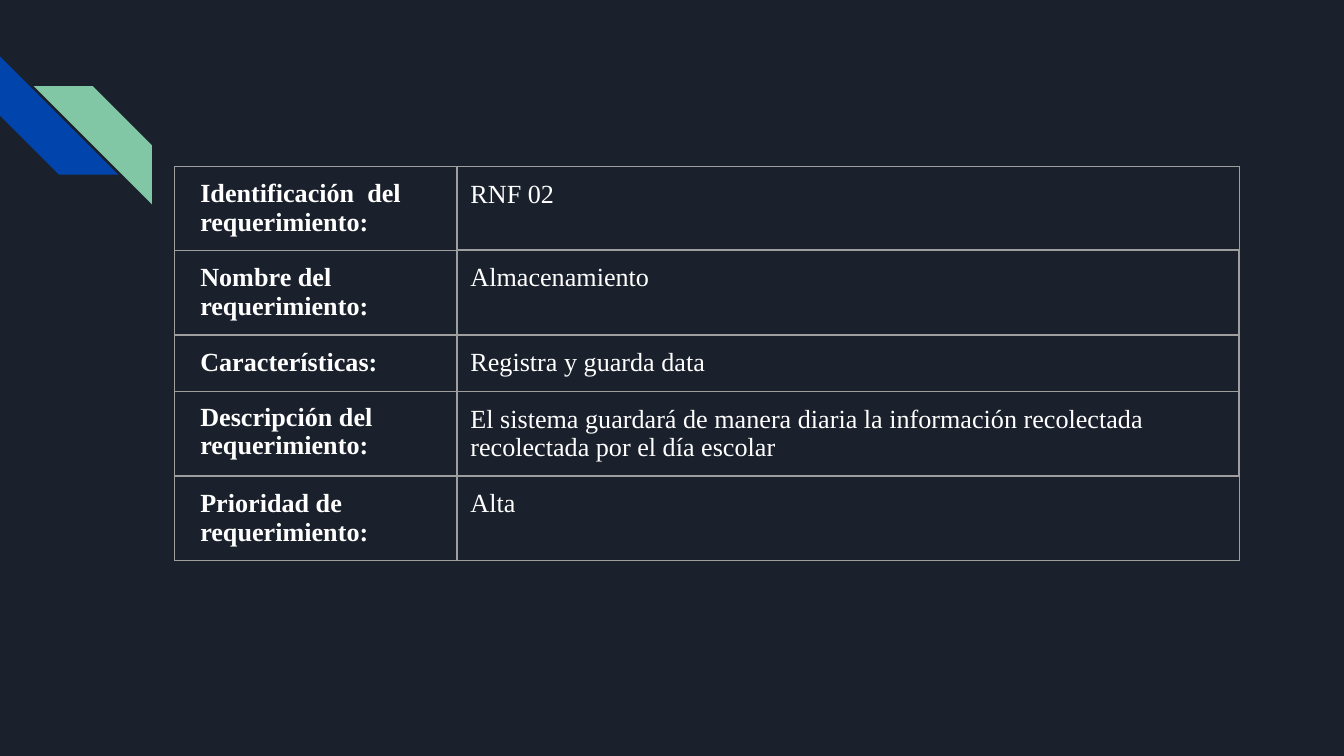
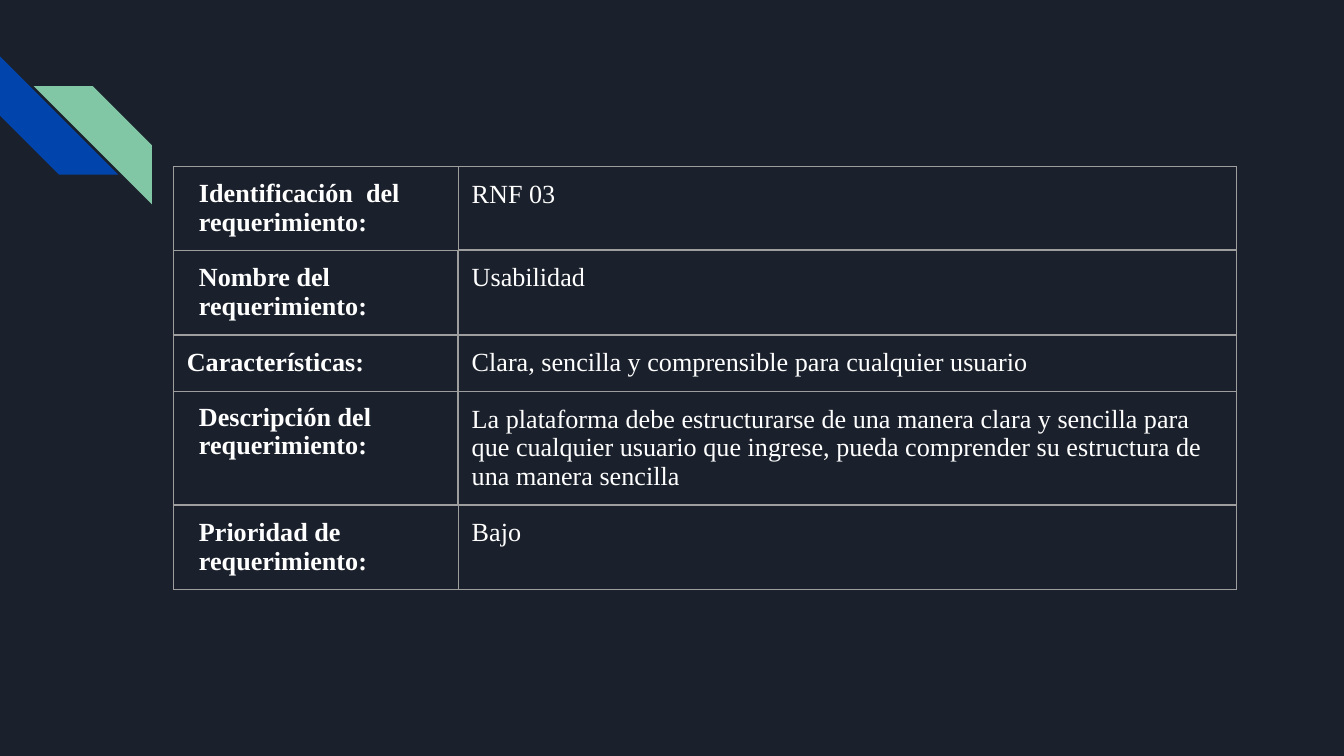
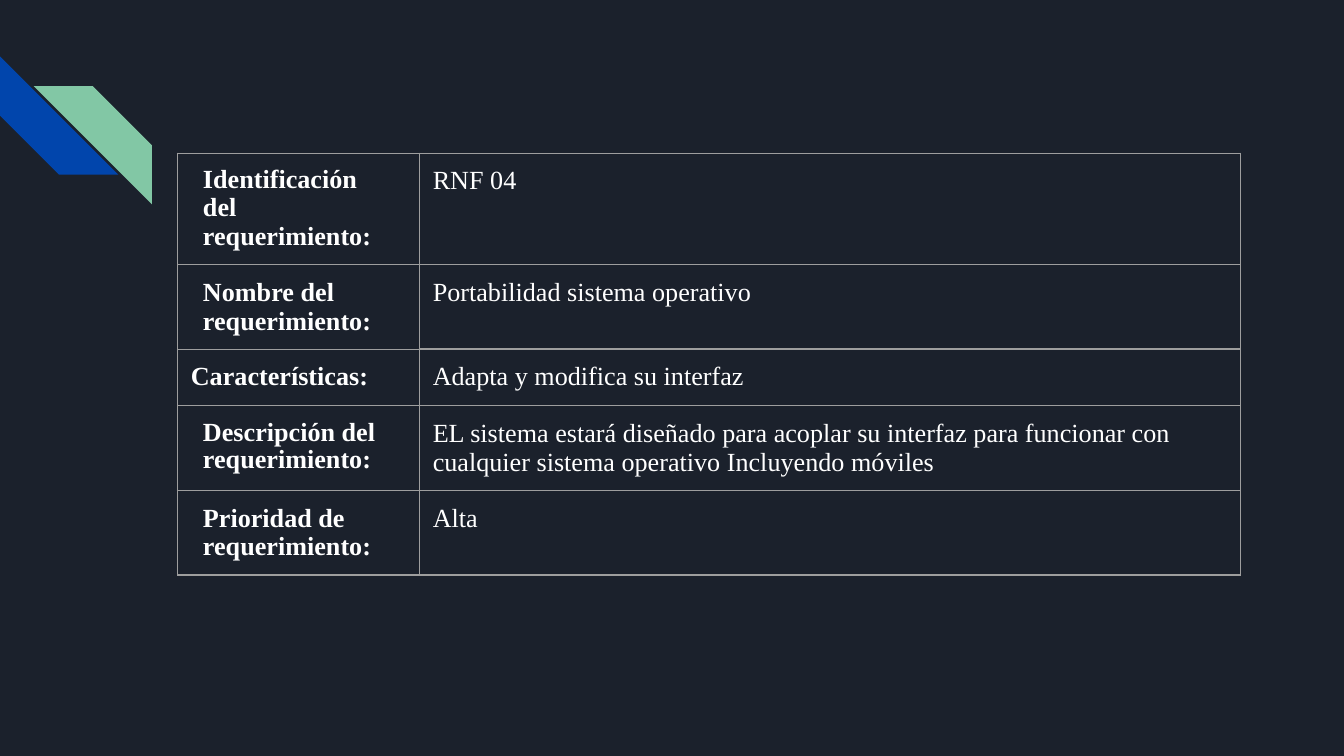
from lxml import etree
from pptx import Presentation
from pptx.dml.color import RGBColor
from pptx.enum import shapes
from pptx.oxml import ns
from pptx.util import Inches, Pt

COLORS = {
    "background": "1B212C",
    "blue": "0145AC",
    "green": "82C7A5",
    "border": "9E9E9E",
    "text": "FFFFFF",
}
FONT = "Times New Roman"
FONT_SIZE = 14
ROW_HEIGHT = 0.42
CELL_MARGIN = 0.1
IDENTIFIER_RIGHT_MARGIN = 0.15
LABEL_INDENT = 0.09
TIGHT_SPACING = 0.96

# Each label: its paragraphs as (text, line spacing)
LABELS = [
    [("Identificación  del", TIGHT_SPACING), ("requerimiento:", None)],
    [("Nombre del", None), ("requerimiento:", None)],
    [("Características:", None)],
    [("Descripción del  requerimiento:", TIGHT_SPACING)],
    [("Prioridad de", None), ("requerimiento:", None)],
]
FEATURES_ROW = 2

REQUIREMENTS = [
    {
        "position": (1.3, 1.24),
        "columns": (2.1, 5.82),
        "features_indent": LABEL_INDENT,
        "values": [
            "RNF 02",
            "Almacenamiento",
            "Registra y guarda data",
            "El sistema guardará de manera diaria la información recolectada "
            "recolectada por el día escolar",
            "Alta",
        ],
    },
    {
        "position": (1.29, 1.24),
        "columns": (2.12, 5.79),
        "features_indent": 0,
        "values": [
            "RNF 03",
            "Usabilidad",
            "Clara, sencilla y comprensible para cualquier usuario",
            "La plataforma debe estructurarse de una manera clara y sencilla para "
            "que cualquier usuario que ingrese, pueda comprender su estructura de "
            "una manera sencilla",
            "Bajo",
        ],
    },
    {
        "position": (1.32, 1.14),
        "columns": (1.8, 6.11),
        "features_indent": 0,
        "values": [
            "RNF 04",
            "Portabilidad sistema operativo",
            "Adapta y modifica su interfaz",
            "EL sistema estará diseñado para acoplar su interfaz para funcionar con "
            "cualquier sistema operativo Incluyendo móviles",
            "Alta",
        ],
    },
]


def rgb(name):
    return RGBColor.from_string(COLORS[name])


def add_stripe(slide, left, top, size, color):
    stripe = slide.shapes.add_shape(
        shapes.MSO_SHAPE.DIAGONAL_STRIPE,
        Inches(left), Inches(top), Inches(size), Inches(size),
    )
    stripe.shadow.inherit = False
    stripe.fill.solid()
    stripe.fill.fore_color.rgb = rgb(color)
    stripe.line.fill.background()
    return stripe


def add_corner_stripes(slide, left, top):
    size = 0.88
    blue_stripe = add_stripe(slide, left, top, size, "blue")
    blue_stripe.rotation = 270
    green_stripe = add_stripe(slide, left + 0.25, top + 0.22, size, "green")
    green_stripe._element.spPr.xfrm.set("flipH", "1")


def add_border(cell, side, width):
    """Draw one edge; side is L, R, T or B, in that order for each cell."""
    properties = cell._tc.get_or_add_tcPr()
    line = etree.SubElement(properties, ns.qn(f"a:ln{side}"), w=str(Pt(width)))
    fill = etree.SubElement(line, ns.qn("a:solidFill"))
    etree.SubElement(fill, ns.qn("a:srgbClr"), val=COLORS["border"])


def style_cell(cell, row, column):
    """Middle values have heavier edges, which their neighbours share."""
    last = len(LABELS) - 1
    middle = 0 < row < last
    is_value = column == 1
    heavy = {
        "L": middle and is_value,
        "R": middle,
        "T": is_value and row > 0,
        "B": is_value and row < last,
    }
    for side, is_heavy in heavy.items():
        add_border(cell, side, 1 if is_heavy else 0.75)
    cell.fill.background()
    cell.margin_left = cell.margin_right = Inches(CELL_MARGIN)
    cell.margin_top = cell.margin_bottom = Inches(CELL_MARGIN)


def write_cell(cell, paragraphs, bold=False, indent=0):
    frame = cell.text_frame
    for index, (content, spacing) in enumerate(paragraphs):
        paragraph = frame.add_paragraph() if index else frame.paragraphs[0]
        paragraph._p.get_or_add_pPr().set("marL", str(Inches(indent)))
        if spacing:
            paragraph.line_spacing = spacing
        run = paragraph.add_run()
        run.text = content
        run.font.name = FONT
        run.font.size = Pt(FONT_SIZE)
        run.font.bold = bold
        run.font.color.rgb = rgb("text")


def add_requirement_table(slide, position, columns, features_indent, values):
    left, top = position
    table = slide.shapes.add_table(
        len(LABELS), len(columns), Inches(left), Inches(top),
        Inches(sum(columns)), Inches(ROW_HEIGHT * len(LABELS)),
    ).table
    table.first_row = False
    table.horz_banding = False
    for column, width in zip(table.columns, columns):
        column.width = Inches(width)
    for row, (label, value) in enumerate(zip(LABELS, values)):
        indent = features_indent if row == FEATURES_ROW else LABEL_INDENT
        write_cell(table.cell(row, 0), label, bold=True, indent=indent)
        write_cell(table.cell(row, 1), [(value, None)])
        for column in range(len(columns)):
            style_cell(table.cell(row, column), row, column)
    table.cell(0, 0).margin_right = Inches(IDENTIFIER_RIGHT_MARGIN)


def add_requirement_slide(presentation, requirement):
    slide = presentation.slides.add_slide(presentation.slide_layouts[6])
    slide.background.fill.solid()
    slide.background.fill.fore_color.rgb = rgb("background")
    add_corner_stripes(slide, 0, 0.42)
    add_requirement_table(slide, **requirement)


def main():
    presentation = Presentation()
    presentation.slide_width = Inches(10)
    presentation.slide_height = presentation.slide_width * 9 // 16
    for requirement in REQUIREMENTS:
        add_requirement_slide(presentation, requirement)
    presentation.save("out.pptx")


if __name__ == "__main__":
    main()
